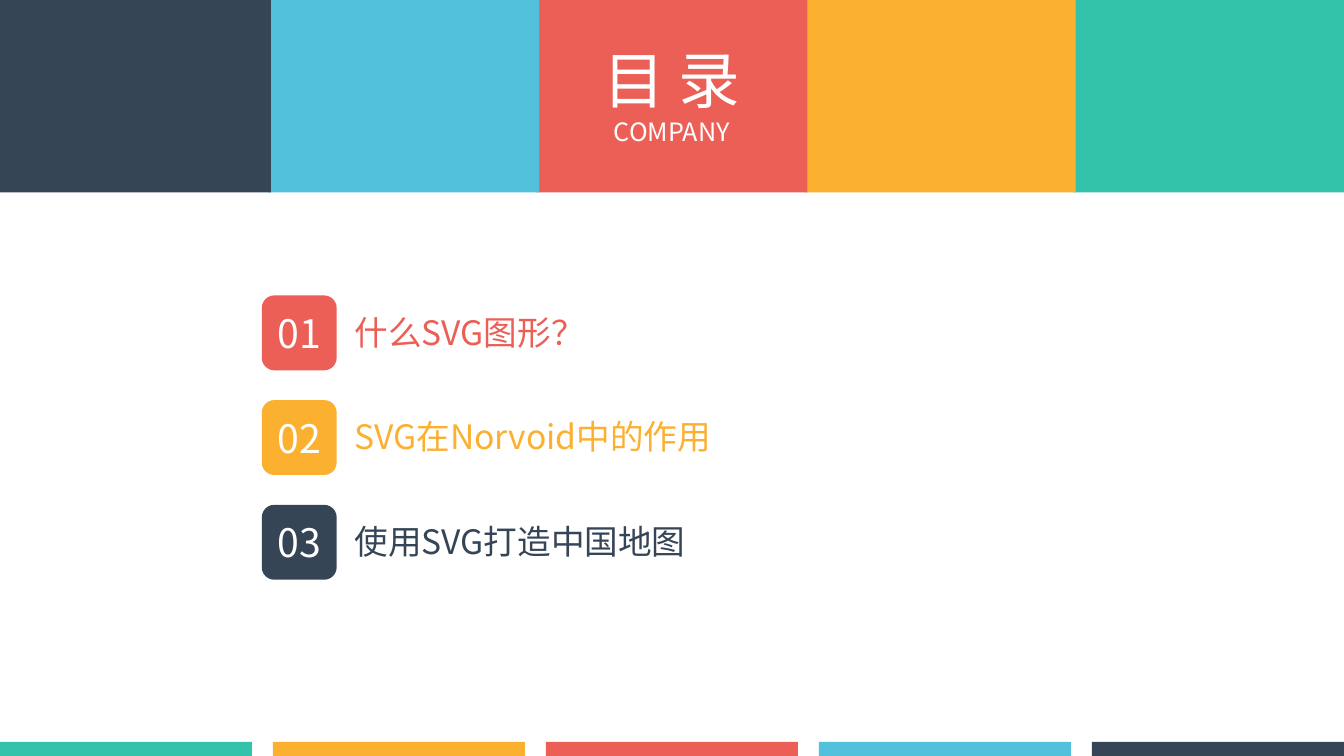
"""Build the contents slide with its colour bands and numbered entries."""
from dataclasses import dataclass

from pptx import Presentation
from pptx.dml.color import RGBColor
from pptx.enum.shapes import MSO_SHAPE as Preset
from pptx.enum.text import MSO_ANCHOR as Anchor, MSO_AUTO_SIZE as AutoSize, PP_ALIGN as Align
from pptx.oxml.ns import qn
from pptx.util import Pt

NAVY = RGBColor(0x36, 0x45, 0x55)
BLUE = RGBColor(0x52, 0xC2, 0xDC)
RED = RGBColor(0xEB, 0x5F, 0x56)
ORANGE = RGBColor(0xFC, 0xB0, 0x30)
GREEN = RGBColor(0x33, 0xC3, 0xAB)
WHITE = RGBColor(0xFF, 0xFF, 0xFF)
PALETTE = (NAVY, BLUE, RED, ORANGE, GREEN)
FONT = "Noto Sans CJK SC"
WIDTH, HEIGHT = 960, 540


@dataclass(frozen=True)
class Band:
    top: float
    height: float
    width: float
    step: float
    colors: tuple[RGBColor, ...]


@dataclass(frozen=True)
class Entry:
    title: str
    width: float
    color: RGBColor


HEADER = Band(0, 137.5, 193.6, 191.6, PALETTE)
FOOTER = Band(530, 10, 180, 195, PALETTE[::-1])
ENTRIES = (
    Entry("什么SVG图形？", 314, RED),
    Entry("SVG在Norvoid中的作用", 495, ORANGE),
    Entry("使用SVG打造中国地图", 495, NAVY),
)
BADGE_LEFT, BADGE_TOP, BADGE_SIZE, ENTRY_STEP = 187, 211, 53.5, 74.8
LABEL_LEFT, LABEL_DROP, LABEL_HEIGHT = 246.2, 8, 36


def write(shape, *lines: tuple[str, float], color: RGBColor, align=Align.LEFT,
          anchor=Anchor.TOP, wrap: bool = True, grow: bool = False) -> None:
    """Fill a shape with one paragraph per (text, size) line."""
    frame = shape.text_frame
    frame.word_wrap = wrap
    frame.vertical_anchor = anchor
    frame.auto_size = AutoSize.SHAPE_TO_FIT_TEXT if grow else AutoSize.NONE
    for index, (text, size) in enumerate(lines):
        paragraph = frame.add_paragraph() if index else frame.paragraphs[0]
        paragraph.alignment = align
        run = paragraph.add_run()
        run.text = text
        font = run.font
        font.size, font.name, font.color.rgb = Pt(size), FONT, color
        latin = run._r.get_or_add_rPr().find(qn("a:latin"))
        east_asian = latin.makeelement(qn("a:ea"), {"typeface": FONT})
        latin.addnext(east_asian)


def add_block(shapes, preset, left: float, top: float, width: float, height: float,
              color: RGBColor):
    """Add a flat shape without outline or shadow."""
    shape = shapes.add_shape(preset, Pt(left), Pt(top), Pt(width), Pt(height))
    shape.shadow.inherit = False
    shape.fill.solid()
    shape.fill.fore_color.rgb = color
    shape.line.fill.background()
    return shape


def draw_band(shapes, band: Band) -> None:
    """Draw a row of colour blocks, the leftmost in front."""
    for index, color in reversed(list(enumerate(band.colors))):
        add_block(shapes, Preset.RECTANGLE, index * band.step, band.top,
                  band.width, band.height, color)


def draw_entry(shapes, number: int, entry: Entry) -> None:
    """Draw a numbered badge grouped with its label."""
    top = BADGE_TOP + (number - 1) * ENTRY_STEP
    group = shapes.add_group_shape()
    badge = add_block(group.shapes, Preset.ROUNDED_RECTANGLE, BADGE_LEFT, top,
                      BADGE_SIZE, BADGE_SIZE, entry.color)
    write(badge, (f"{number:02}", 28), color=WHITE, align=Align.CENTER, anchor=Anchor.MIDDLE)
    label = group.shapes.add_textbox(Pt(LABEL_LEFT), Pt(top + LABEL_DROP),
                                     Pt(entry.width), Pt(LABEL_HEIGHT))
    write(label, (entry.title, 24), color=entry.color, grow=True)


def main() -> None:
    """Create the presentation and save it."""
    presentation = Presentation()
    presentation.slide_width, presentation.slide_height = Pt(WIDTH), Pt(HEIGHT)
    slide = presentation.slides.add_slide(presentation.slide_layouts[6])
    draw_band(slide.shapes, HEADER)
    heading = slide.shapes.add_textbox(Pt(421.2), Pt(26.6), Pt(117.4), Pt(85))
    write(heading, ("目 录", 44), ("COMPANY", 18), color=WHITE, align=Align.CENTER,
          wrap=False, grow=True)
    draw_band(slide.shapes, FOOTER)
    for number, entry in enumerate(ENTRIES, start=1):
        draw_entry(slide.shapes, number, entry)
    presentation.save("out.pptx")


main()
